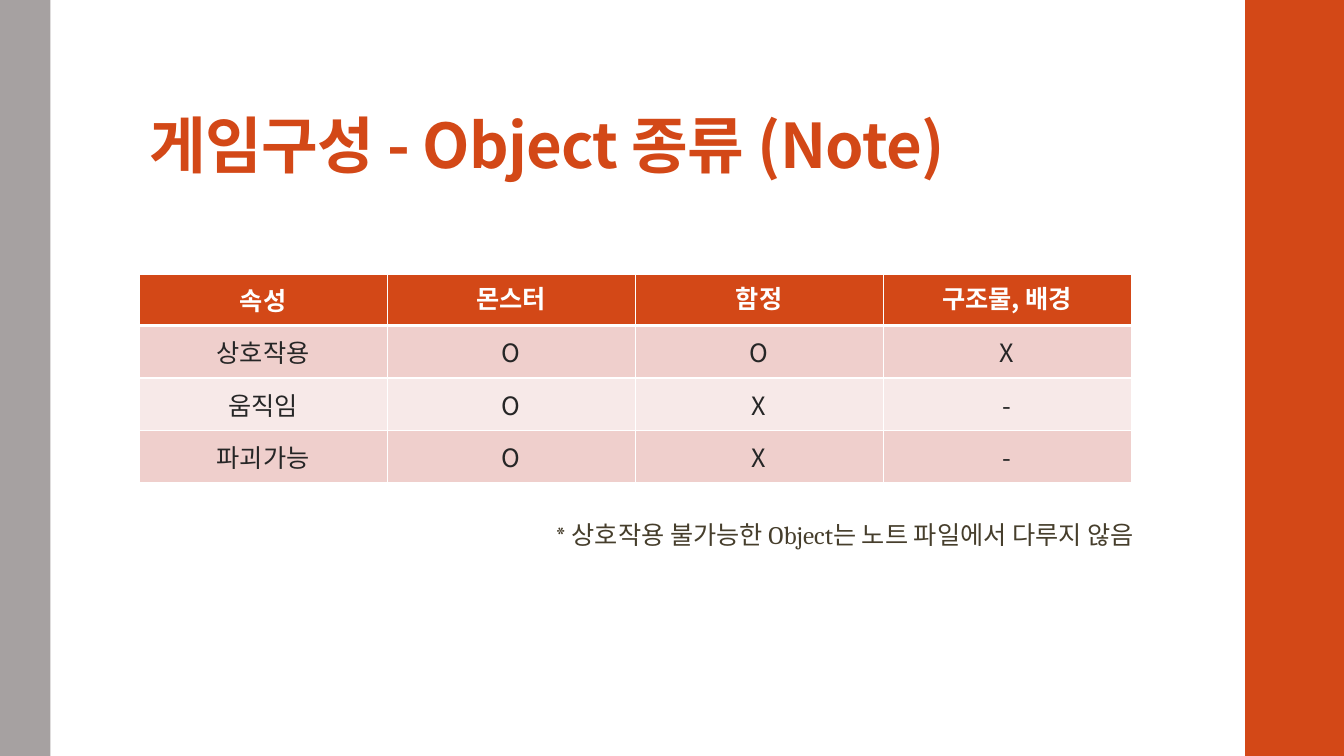
from lxml import etree
from pptx import Presentation
from pptx.dml.color import RGBColor
from pptx.enum import shapes, text
from pptx.oxml.ns import qn
from pptx.util import Inches, Pt

# Content
TITLE = "게임구성 - Object 종류 (Note)"
NOTE = "* 상호작용 불가능한 Object는 노트 파일에서 다루지 않음"
ROWS = [
    ("속성", "몬스터", "함정", "구조물, 배경"),
    ("상호작용", "O", "O", "X"),
    ("움직임", "O", "X", "-"),
    ("파괴가능", "O", "X", "-"),
]
COLORS = {
    "accent": "D34817", "gray": "A6A1A1", "white": "FFFFFF", "body": "262626",
    "note": "463E2C", "odd": "EFCFCC", "even": "F7E9E8",
}
SANS, SERIF = "Noto Sans CJK KR", "Cambria"
SIDE_BARS = [(12.35, 1, "accent"), (0, 0.5, "gray")]  # left, width, colour
COLUMN_WIDTH, HEADER_HEIGHT, ROW_HEIGHT = 2.46, 0.51, 0.52


def rgb(name):
    return RGBColor.from_string(COLORS[name])


def style(paragraph, size, color, font_name=SANS, bold=False):
    for run in paragraph.runs:
        font = run.font
        font.size, font.bold, font.name = Pt(size), bold, font_name
        font.color.rgb = rgb(color)
        properties = run._r.get_or_add_rPr()
        etree.SubElement(properties, qn("a:ea")).set("typeface", SANS)


def add_text(slide, left, top, width, height, words):
    box = slide.shapes.add_textbox(Inches(left), Inches(top), Inches(width), Inches(height))
    box.text_frame.word_wrap = True
    box.text_frame.text = words
    return box.text_frame


def set_borders(cell, bottom_width):
    properties = cell._tc.get_or_add_tcPr()
    widths = {"a:lnL": 1, "a:lnR": 1, "a:lnT": 1, "a:lnB": bottom_width}
    for position, (tag, width) in enumerate(widths.items()):
        line = etree.Element(qn(tag), w=str(Pt(width)))
        fill = etree.SubElement(line, qn("a:solidFill"))
        etree.SubElement(fill, qn("a:srgbClr"), val=COLORS["white"])
        properties.insert(position, line)


presentation = Presentation()
presentation.slide_width, presentation.slide_height = Inches(13.33), Inches(7.5)
slide = presentation.slides.add_slide(presentation.slide_layouts[6])

# Side bars
for left, width, color in SIDE_BARS:
    bar = slide.shapes.add_shape(
        shapes.MSO_SHAPE.RECTANGLE, Inches(left), 0, Inches(width), Inches(7.5))
    bar.shadow.inherit = False
    bar.fill.solid()
    bar.fill.fore_color.rgb = rgb(color)
    bar.line.fill.background()

# Title
title = add_text(slide, 1.38, 0.32, 10.6, 1.53, TITLE)
title.vertical_anchor = text.MSO_ANCHOR.BOTTOM
title.margin_top, title.margin_bottom = Inches(0.03), Inches(0.05)
title.paragraphs[0].line_spacing = 0.9
style(title.paragraphs[0], 44, "accent", bold=True)
title.paragraphs[0].runs[0]._r.get_or_add_rPr().set("spc", "-50")

# Attribute table
table = slide.shapes.add_table(
    len(ROWS), len(ROWS[0]), Inches(1.38), Inches(2.72),
    Inches(COLUMN_WIDTH * len(ROWS[0])),
    Inches(HEADER_HEIGHT + ROW_HEIGHT * (len(ROWS) - 1))).table
for column in table.columns:
    column.width = Inches(COLUMN_WIDTH)
for r, row in enumerate(ROWS):
    header = r == 0
    table.rows[r].height = Inches(HEADER_HEIGHT if header else ROW_HEIGHT)
    for c, words in enumerate(row):
        cell = table.cell(r, c)
        cell.text_frame.text = words
        top_anchored = header and c > 0
        cell.vertical_anchor = text.MSO_ANCHOR.TOP if top_anchored else text.MSO_ANCHOR.MIDDLE
        paragraph = cell.text_frame.paragraphs[0]
        paragraph.alignment = text.PP_ALIGN.CENTER
        style(paragraph, 18, "white" if header else "body", bold=header)
        cell.fill.solid()
        cell.fill.fore_color.rgb = rgb("accent" if header else "odd" if r % 2 else "even")
        set_borders(cell, 3 if header else 1)

# Footnote
note = add_text(slide, 5.41, 5.1, 5.96, 0.4, NOTE)
style(note.paragraphs[0], 18, "note", SERIF)

presentation.save("out.pptx")
